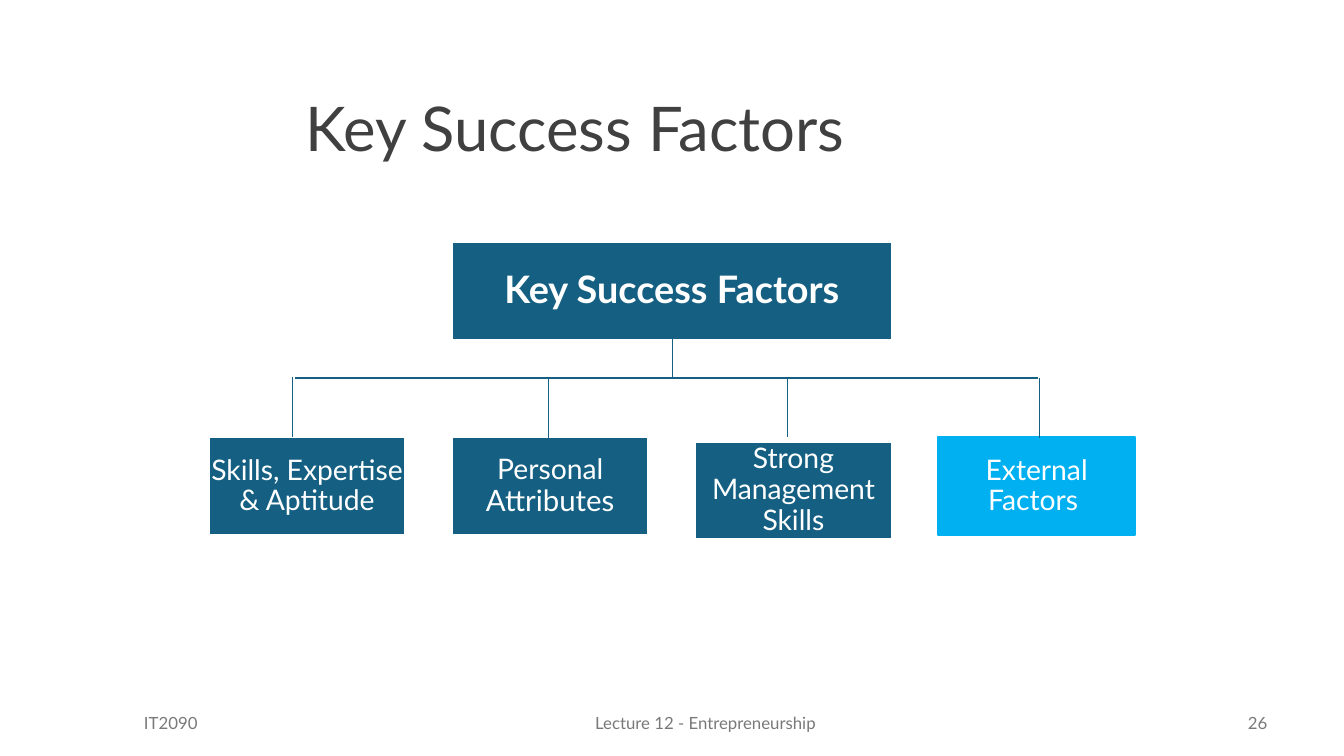
import pptx
import pptx.dml.color
import pptx.enum.shapes
import pptx.enum.text
import pptx.oxml
import pptx.oxml.ns
import pptx.util

ALIGN = pptx.enum.text.PP_ALIGN
BLUE, CYAN, WHITE, DARK, GREY = "156082", "00B0F0", "FFFFFF", "404040", "797979"


def color(hex_code):
    return pptx.dml.color.RGBColor.from_string(hex_code)


class Chart:
    """Draws styled elements on one slide, measured in grid cells of 0.1 inch."""

    font_name = "Lato"
    cell = pptx.util.Inches(0.1)
    columns, rows = 133.33, 75

    def __init__(self, deck):
        deck.slide_width, deck.slide_height = self.cells(self.columns, self.rows)
        self.page = deck.slides.add_slide(deck.slide_layouts[6])

    def cells(self, *counts):
        return [round(count * self.cell) for count in counts]

    def set_text(self, shape, spans, ink, align, spacing=1.0, inset=None, bold=False):
        frame = shape.text_frame
        frame.word_wrap = True
        frame.vertical_anchor = pptx.enum.text.MSO_ANCHOR.MIDDLE
        if inset is not None:
            for side in ("left", "top", "right", "bottom"):
                setattr(frame, f"margin_{side}", pptx.util.Inches(inset))
        para = frame.paragraphs[0]
        for name, value in {"alignment": align, "line_spacing": spacing}.items():
            setattr(para, name, value)
        for text, size in spans:
            span = para.add_run()
            span.text = text
            span.font.color.rgb = color(ink)
            values = {"name": self.font_name, "size": pptx.util.Pt(size), "bold": bold}
            for name, value in values.items():
                setattr(span.font, name, value)

    def label(self, area, text, size, ink, align=ALIGN.LEFT, spacing=1.0):
        box = self.page.shapes.add_textbox(*self.cells(*area))
        self.set_text(box, [(text, size)], ink, align, spacing)

    def box(self, area, spans, fill=BLUE, outline=WHITE, bold=False):
        kind = pptx.enum.shapes.MSO_SHAPE.RECTANGLE
        box = self.page.shapes.add_shape(kind, *self.cells(*area))
        box.shadow.inherit = False
        box.fill.solid()
        box.fill.fore_color.rgb = color(fill)
        box.line.color.rgb = color(outline)
        box.line.width = pptx.util.Pt(1.5)
        self.set_text(box, spans, WHITE, ALIGN.CENTER, 0.9, 0.01, bold)

    def line(self, *ends):
        kind = pptx.enum.shapes.MSO_CONNECTOR.STRAIGHT
        line = self.page.shapes.add_connector(kind, *self.cells(*ends))
        line.line.color.rgb = color(BLUE)
        line.line.width = pptx.util.Pt(1)
        properties = line._element.spPr
        properties.append(properties.makeelement(pptx.oxml.ns.qn("a:effectLst"), {}))


def main():
    deck = pptx.Presentation()
    chart = Chart(deck)
    chart.label((29.3, 6.8, 85.2, 12.5), "Key Success Factors", 44, DARK, spacing=0.9)

    left, pitch, width, height = 20.7, 24.13, 19.5, 9.7
    factors = [
        ([("Skills, Expertise & Aptitude", 20.2)], 43.4, BLUE, WHITE),
        ([("Personal ", 20.2), ("Attributes", 21)], 43.4, BLUE, WHITE),
        ([("Strong Management Skills", 20.2)], 43.8, BLUE, WHITE),
        ([("External Factors ", 20.2)], 43.4, CYAN, CYAN),
    ]
    for index, (spans, top, fill, outline) in enumerate(factors):
        chart.box((left + index * pitch, top, width, height), spans, fill, outline)
    root = (left + pitch, 24, pitch + width, height)
    chart.box(root, [("Key Success Factors", 27)], bold=True)

    bar, drop = 37.5, 6
    chart.line(29.3, bar, 103, bar)
    chart.line(66.7, bar, 66.7, bar - drop)
    for column, top in ((29, 37.4), (54.4, bar), (78.1, 37.4), (103.1, bar)):
        chart.line(column, top, column, top + drop)

    footers = [
        (13.3, 27.8, "IT2090", ALIGN.LEFT),
        (48.9, 42.2, "Lecture 12 - Entrepreneurship", ALIGN.CENTER),
        (98.9, 27.8, "26", ALIGN.RIGHT),
    ]
    for column, span, text, align in footers:
        chart.label((column, 69.2, span, 5), text, 12, GREY, align)
    deck.save("out.pptx")


if __name__ == "__main__":
    main()
